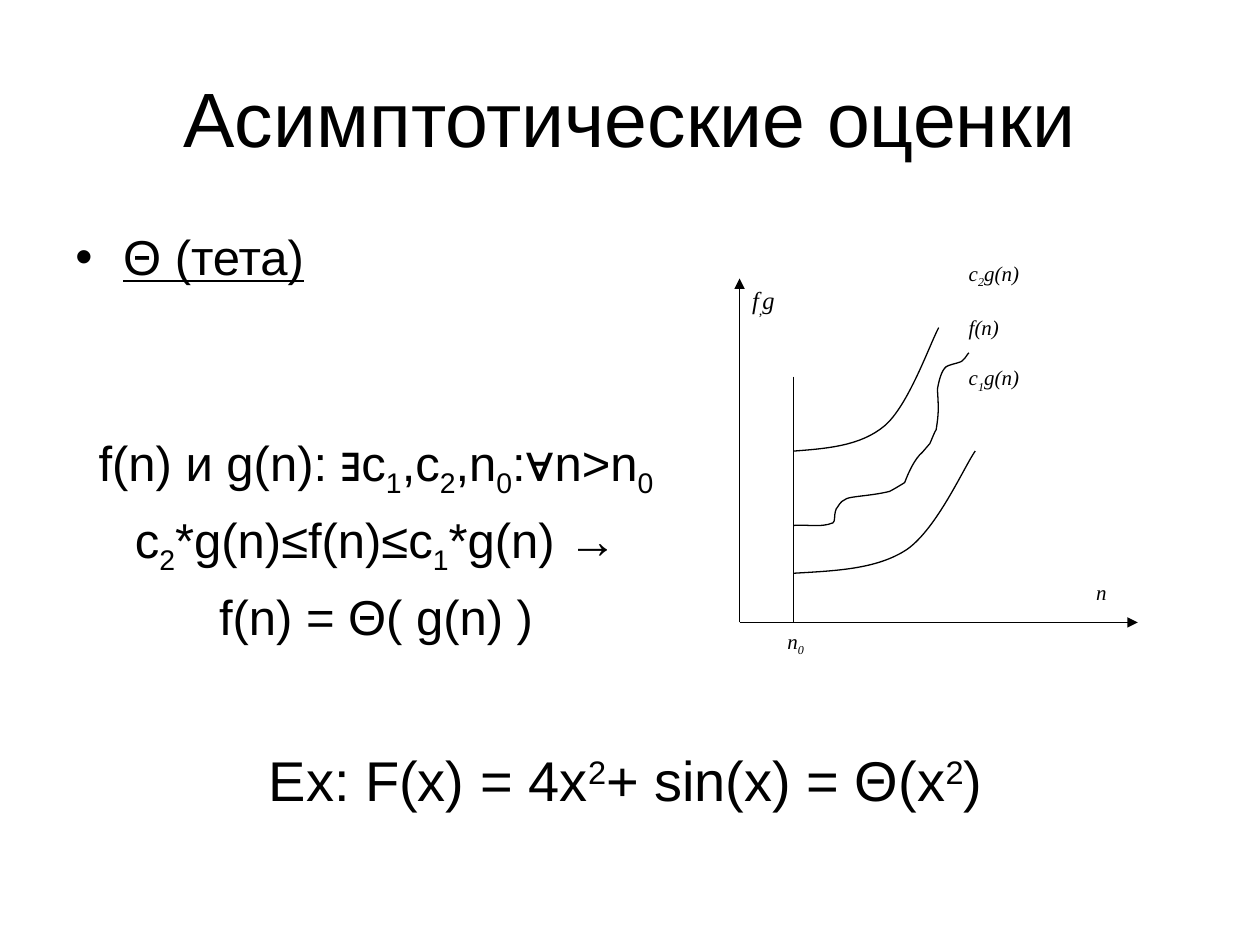
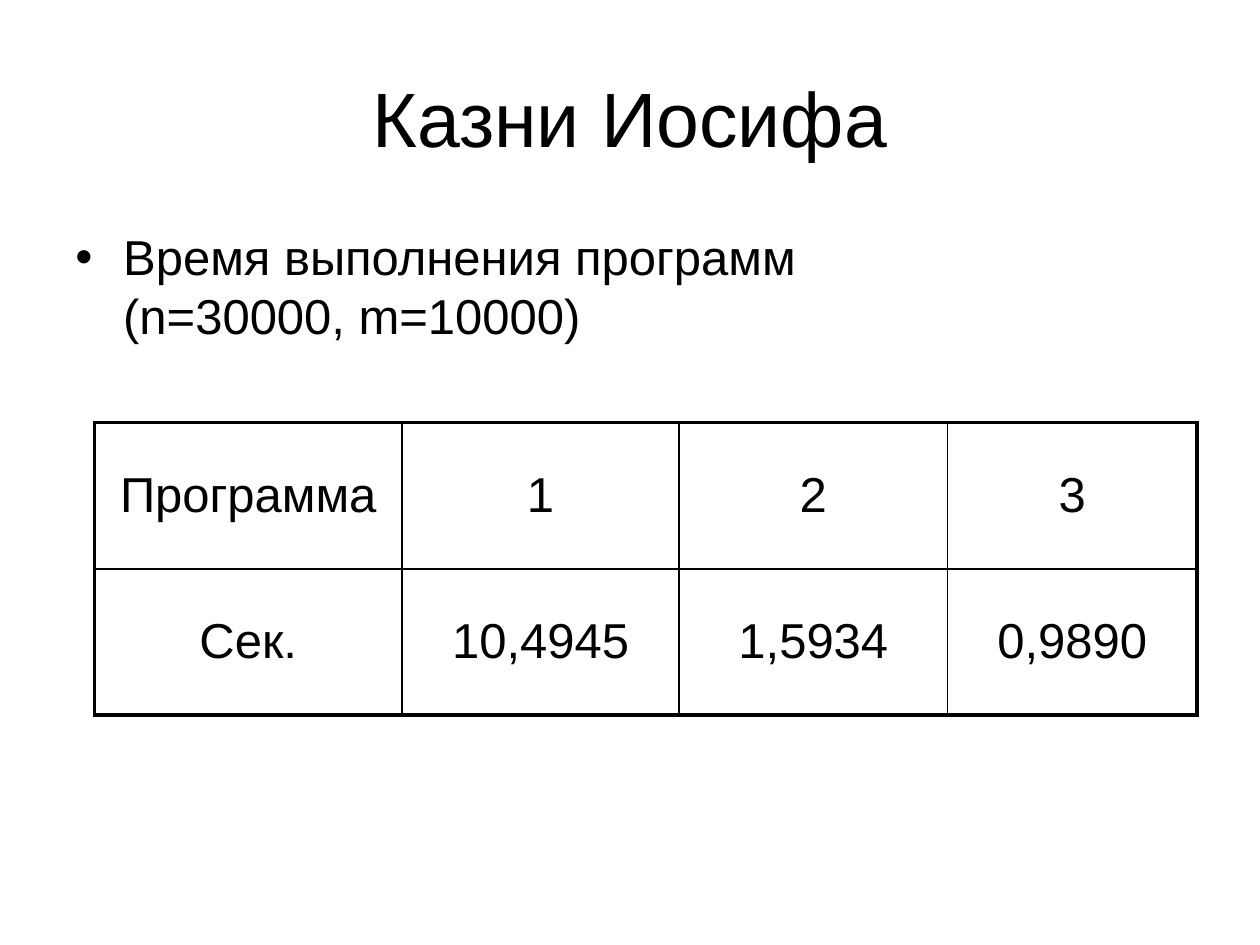
from lxml import etree
from pptx import Presentation
from pptx.dml.color import RGBColor
from pptx.enum.shapes import MSO_CONNECTOR
from pptx.enum.text import MSO_ANCHOR, PP_ALIGN
from pptx.oxml.ns import qn
from pptx.util import Inches, Pt

BLACK = RGBColor(0x00, 0x00, 0x00)
SANS, SERIF = "Arial", "Times New Roman"
STRAIGHT = MSO_CONNECTOR.STRAIGHT
LEFT, CENTER = PP_ALIGN.LEFT, PP_ALIGN.CENTER
TOP, MIDDLE = MSO_ANCHOR.TOP, MSO_ANCHOR.MIDDLE
HAIR, THIN, THICK = 0.75, 1, 2.25
SUB, SUPER = -25000, 30000
INDENT = 0.38

UPPER_CURVE = [(0.43, 1.37), (0.69, 1.35), (0.96, 1.33), (1.15, 1.17),
               (1.34, 1.01), (1.51, 0.52), (1.58, 0.39)]
LOWER_CURVE = [(0.43, 2.34), (0.76, 2.32), (1.09, 2.31), (1.33, 2.15),
               (1.57, 1.98), (1.78, 1.5), (1.87, 1.37)]
MIDDLE_CURVE = [(0.43, 1.96), (0.53, 1.95), (0.64, 1.98), (0.74, 1.94),
                (0.76, 1.93), (0.75, 1.88), (0.76, 1.85),
                (0.76, 1.84), (0.77, 1.82), (0.78, 1.81),
                (0.82, 1.74), (0.87, 1.74), (0.94, 1.73),
                (1.02, 1.72), (1.11, 1.71), (1.19, 1.69),
                (1.23, 1.67), (1.31, 1.62), (1.31, 1.62),
                (1.34, 1.54), (1.39, 1.43), (1.45, 1.38),
                (1.48, 1.35), (1.48, 1.35), (1.51, 1.31),
                (1.52, 1.29), (1.55, 1.21), (1.56, 1.2),
                (1.58, 1.07), (1.58, 1.04), (1.57, 0.88),
                (1.58, 0.82), (1.6, 0.73), (1.64, 0.7),
                (1.65, 0.69), (1.73, 0.67), (1.73, 0.67),
                (1.77, 0.66), (1.77, 0.65), (1.79, 0.63),
                (1.8, 0.61), (1.82, 0.59), (1.82, 0.59)]


def add_text(p, text, size, font=SANS, shift=SUB, italic=False, underline=False):
    """Write text run by run; pieces between bars are raised or lowered."""
    for i, line in enumerate(text.split("\n")):
        if i:
            p.add_line_break()
        for j, piece in enumerate(line.split("|")):
            if not piece:
                continue
            r = p.add_run()
            r.text = piece
            r.font.size, r.font.name = Pt(size), font
            r.font.color.rgb = BLACK
            if italic:
                r.font.italic = True
            if underline:
                r.font.underline = True
            if j % 2:
                r._r.get_or_add_rPr().set("baseline", str(shift))


def add_box(shapes, x, y, w, h, anchor=TOP):
    """Add a wrapping text box and return its frame."""
    sp = shapes.add_textbox(Inches(x), Inches(y), Inches(w), Inches(h))
    tf = sp.text_frame
    tf.word_wrap, tf.vertical_anchor = True, anchor
    return tf


def add_title(s, text):
    """Place the slide title."""
    p = add_box(s.shapes, 0.5, 0.3, 9, 1.25, MIDDLE).paragraphs[0]
    p.alignment = CENTER
    add_text(p, text, 44)


def add_body(s, width, bullet, formulas=(), underline=False):
    """Place the bullet and the centred formulas under it."""
    tf = add_box(s.shapes, 0.5, 1.75, width, 4.95)
    for i, text in enumerate([bullet, *formulas]):
        p = tf.add_paragraph() if i else tf.paragraphs[0]
        pPr = p._p.get_or_add_pPr()
        pPr.set("marL", str(Inches(INDENT)))
        pPr.set("indent", str(-Inches(INDENT)))
        p.alignment = CENTER if i else LEFT
        if i:
            p.space_before = Pt(84 if i == 1 else 5.8)
        else:
            etree.SubElement(pPr, qn("a:buFont")).set("typeface", SANS)
            etree.SubElement(pPr, qn("a:buChar")).set("char", "•")
        add_text(p, text, 28, underline=underline and not i)


def add_line(shapes, x1, y1, x2, y2, arrow=False):
    """Draw a thin straight line, with an arrowhead at its end if asked."""
    cn = shapes.add_connector(STRAIGHT, Inches(x1), Inches(y1), Inches(x2), Inches(y2))
    cn.line.color.rgb, cn.line.width = BLACK, Pt(HAIR)
    if arrow:
        ln = cn.line._get_or_add_ln()
        etree.SubElement(ln, qn("a:tailEnd")).set("type", "triangle")
    etree.SubElement(cn._element.spPr, qn("a:effectLst"))


def add_curve(shapes, x, y, nodes):
    """Draw an open chain of cubic segments whose nodes are relative to x, y."""
    points = [(Inches(x + px), Inches(y + py)) for px, py in nodes]
    builder = shapes.build_freeform(*points[0])
    builder.add_line_segments(points[1:], close=False)
    sp = builder.convert_to_shape()
    sp.shadow.inherit = False
    sp.fill.background()
    sp.line.color.rgb, sp.line.width = BLACK, Pt(HAIR)
    segments = list(sp._element.iter(qn("a:lnTo")))
    outline = segments[0].getparent()
    for i in range(0, len(segments), 3):
        cubic = etree.SubElement(outline, qn("a:cubicBezTo"))
        for segment in segments[i:i + 3]:
            cubic.append(segment[0])
            outline.remove(segment)


def add_growth_plot(s, x, y, w, h):
    """Draw the axes, the threshold, the three curves and their labels."""
    shapes = s.shapes.add_group_shape().shapes
    base = y + h
    add_line(shapes, x, base, x, y, arrow=True)
    add_line(shapes, x, base, x + w, base, arrow=True)
    add_line(shapes, x + 0.43, y + 0.78, x + 0.43, base)
    for nodes in (UPPER_CURVE, LOWER_CURVE, MIDDLE_CURVE):
        add_curve(shapes, x, y, nodes)
    labels = [(0.28, h, 0.58, 0.78, 12, ["n|0|"]),
              (0, 0, 0.58, 0.78, 14, ["f|,|g"]),
              (w - 0.43, h - 0.39, 0.58, 0.78, 12, ["n"]),
              (1.72, -0.19, 0.86, 2.14, 12, ["c|2|g(n)", "f(n)", "c|1|g(n)"])]
    for dx, dy, bw, bh, size, lines in labels:
        tf = add_box(shapes, x + dx, y + dy, bw, bh)
        for i, text in enumerate(lines):
            p = tf.add_paragraph() if i else tf.paragraphs[0]
            if i:
                p.space_before = Pt(14.4)
            add_text(p, text, size, SERIF, italic=True)


def add_example(s, x, y, w, h):
    """Place the worked example."""
    p = add_box(s.shapes, x, y, w, h).paragraphs[0]
    p.alignment = CENTER
    add_text(p, "Ex: F(x) = 4x|2|+ sin(x) = Θ(x|2|)", 32, shift=SUPER)


def set_borders(cell, widths):
    """Give a cell its left, right, top and bottom lines."""
    tcPr = cell._tc.get_or_add_tcPr()
    for i, (side, width) in enumerate(zip("LRTB", widths)):
        ln = etree.Element(qn(f"a:ln{side}"), w=str(Pt(width)))
        fill = etree.SubElement(ln, qn("a:solidFill"))
        etree.SubElement(fill, qn("a:srgbClr")).set("val", str(BLACK))
        tcPr.insert(i, ln)


def add_times_table(s, x, y, col_widths, row_height, rows):
    """Place the table of running times with a thick outer frame."""
    last_row, last_col = len(rows) - 1, len(col_widths) - 1
    frame = s.shapes.add_table(len(rows), len(col_widths), Inches(x), Inches(y),
                               Inches(sum(col_widths)), Inches(row_height * len(rows)))
    table = frame.table
    table.first_row = table.horz_banding = False
    for col, width in zip(table.columns, col_widths):
        col.width = Inches(width)
    for i, values in enumerate(rows):
        table.rows[i].height = Inches(row_height)
        for j, value in enumerate(values):
            cell = table.cell(i, j)
            cell.fill.background()
            cell.vertical_anchor = MIDDLE
            edges = (j == 0, j == last_col, i == 0, i == last_row)
            set_borders(cell, [THICK if edge else THIN for edge in edges])
            p = cell.text_frame.paragraphs[0]
            p.alignment = CENTER
            add_text(p, value, 28)


def add_theta_slide(prs):
    """Build the slide on the theta estimate."""
    s = prs.slides.add_slide(prs.slide_layouts[6])
    add_title(s, "Асимптотические оценки")
    add_body(s, 4.97, "Θ (тета)",
             ["f(n) и g(n): ∃c|1|,c|2|,n|0|:∀n>n|0|",
              "c|2|*g(n)≤f(n)≤c|1|*g(n) →",
              "f(n) = Θ( g(n) )"], underline=True)
    add_growth_plot(s, 5.87, 2.21, 3.16, 2.73)
    add_example(s, 0.91, 5.87, 8.11, 0.63)


def add_josephus_slide(prs):
    """Build the slide with the running times."""
    s = prs.slides.add_slide(prs.slide_layouts[6])
    add_title(s, "Казни Иосифа")
    add_body(s, 9.23, "Время выполнения программ\n(n=30000, m=10000)")
    add_times_table(s, 0.75, 3.355, [2.44, 2.2, 2.13, 1.98], 1.16,
                    [["Программа", "1", "2", "3"],
                     ["Сек.", "10,4945", "1,5934", "0,9890"]])


def main():
    """Build and save the presentation."""
    prs = Presentation()
    prs.slide_width, prs.slide_height = Inches(10), Inches(7.5)
    add_theta_slide(prs)
    add_josephus_slide(prs)
    prs.save("out.pptx")


if __name__ == "__main__":
    main()
